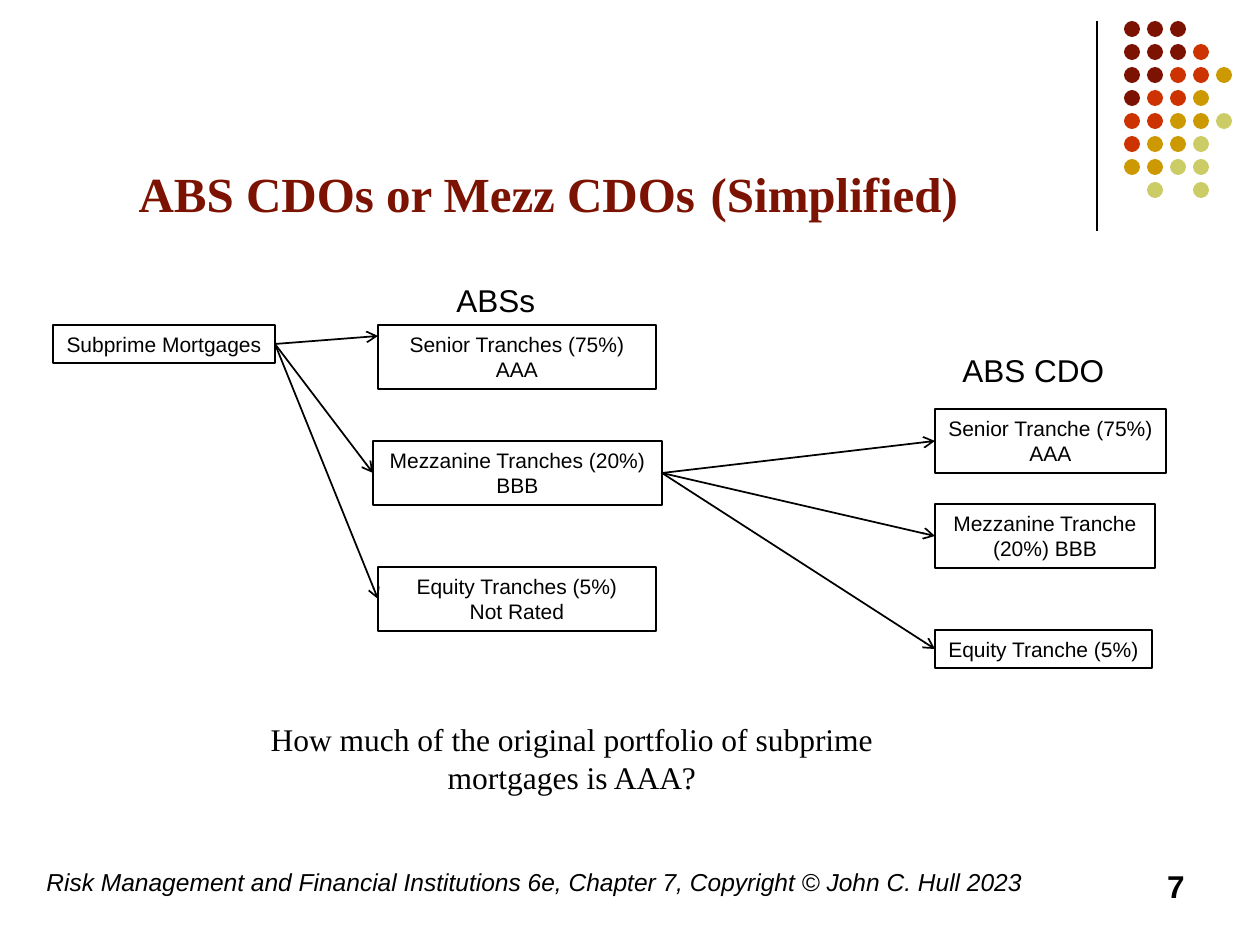
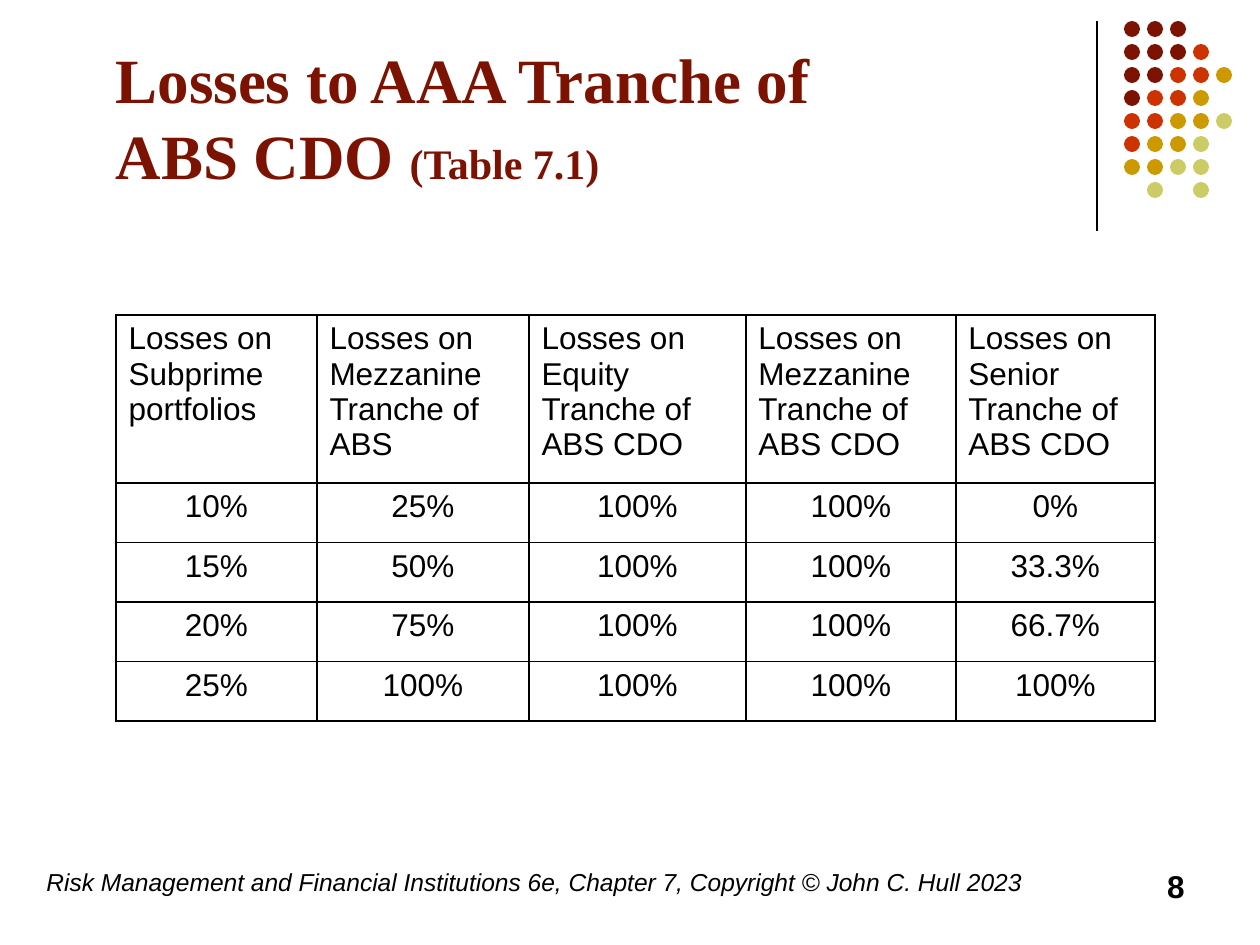
import pptx
import pptx.dml.color
import pptx.enum.shapes
import pptx.enum.text
import pptx.oxml.ns
import pptx.util
from lxml import etree

ALIGN = pptx.enum.text.PP_ALIGN
ANCHOR = pptx.enum.text.MSO_ANCHOR
SHAPE = pptx.enum.shapes.MSO_SHAPE
STRAIGHT = pptx.enum.shapes.MSO_CONNECTOR.STRAIGHT
qn = pptx.oxml.ns.qn

PIXELS_PER_INCH = 126
SANS, SERIF = "Arial", "Times New Roman"
COLORS = {
    "black": "000000",
    "white": "FFFFFF",
    "maroon": "7C1302",
    "red": "CC3300",
    "gold": "CC9900",
    "olive": "CCCC66",
}

DOT_COLORS = {"M": "maroon", "R": "red", "G": "gold", "O": "olive"}
DOT_ROWS = ["MMM", "MMMR", "MMRRG", "MRRG", "RRGGO", "RGGO", "GGOO", "-O-O"]
DOT_LEFT, DOT_TOP, DOT_PITCH, DOT_SIZE = 1124, 21, 23, 16
RULE = (1097, 21, 1097, 231)

FOOTER = "Risk Management and Financial Institutions 6e, Chapter 7, Copyright © John C. Hull 2023"
FOOTER_AREA = (34, 861, 1042, 63)
NUMBER_AREA = (903, 861, 294, 63)

CDO_TITLE = [("ABS CDOs or Mezz CDOs", 28), (" ", 36), ("(Simplified)", 28)]
CDO_TITLE_AREA = (126, 94, 977, 137)
BOXES = {
    "mortgages": ((53, 325, 222, 38), ["Subprime Mortgages"], False),
    "abs senior": ((378, 325, 278, 64), ["Senior Tranches (75%)", "AAA"], True),
    "abs mezzanine": ((373, 441, 289, 64), ["Mezzanine Tranches (20%)", "BBB"], False),
    "abs equity": ((378, 567, 278, 64), ["Equity Tranches (5%)", "Not Rated"], True),
    "cdo senior": ((935, 409, 231, 64), ["Senior Tranche (75%)", "AAA"], False),
    "cdo mezzanine": ((935, 504, 220, 64), ["Mezzanine Tranche (20%) BBB"], True),
    "cdo equity": ((935, 630, 217, 38), ["Equity Tranche (5%)"], False),
}
FLOWS = {
    "mortgages": ["abs senior", "abs mezzanine", "abs equity"],
    "abs mezzanine": ["cdo senior", "cdo mezzanine", "cdo equity"],
}
FREE_ENDS = {"abs senior": (378, 336)}
HEADINGS = [("ABSs", (444, 275, 106, 50)), ("ABS CDO", (950, 345, 176, 50))]
QUESTION = "How much of the original portfolio of subprime mortgages is AAA?"
QUESTION_AREA = (210, 714, 724, 90)

LOSS_TITLE = [("Losses to AAA Tranche of ABS CDO ", 36), ("(Table 7.1)", 24)]
LOSS_TITLE_AREA = (103, 69, 851, 129)
LOSS_ROWS = [
    [
        "Losses on Subprime portfolios",
        "Losses on Mezzanine Tranche of ABS",
        "Losses on Equity Tranche of ABS CDO",
        "Losses on Mezzanine Tranche of ABS CDO",
        "Losses on Senior Tranche of ABS CDO",
    ],
    ["10%", "25%", "100%", "100%", "0%"],
    ["15%", "50%", "100%", "100%", "33.3%"],
    ["20%", "75%", "100%", "100%", "66.7%"],
    ["25%", "100%", "100%", "100%", "100%"],
]
LOSS_COLUMNS = [201, 212, 217, 210, 199]
LOSS_LEFT, LOSS_TOP, LOSS_HEIGHT, LOSS_HEADER = 116, 315, 406, 168


def px(length):
    return pptx.util.Emu(round(length * 914400 / PIXELS_PER_INCH))


def scaled(area):
    return [px(length) for length in area]


def color(name):
    return pptx.dml.color.RGBColor.from_string(COLORS[name])


def add_run(paragraph, text, size, font=SANS, ink="black", bold=False, italic=False):
    run = paragraph.add_run()
    run.text = text
    run.font.size = pptx.util.Pt(size)
    run.font.name = font
    run.font.bold = bold
    run.font.italic = italic
    run.font.color.rgb = color(ink)


def add_text(shapes, area, text, size, align=ALIGN.LEFT, **style):
    frame = shapes.add_textbox(*scaled(area)).text_frame
    frame.word_wrap = True
    frame.paragraphs[0].alignment = align
    add_run(frame.paragraphs[0], text, size, **style)


def add_line(shapes, start, end, width):
    connector = shapes.add_connector(STRAIGHT, *scaled(start + end))
    connector.line.color.rgb = color("black")
    connector.line.width = pptx.util.Pt(width)
    etree.SubElement(connector.element.spPr, qn("a:effectLst"))
    return connector


def decorate_layout(layout, slide):
    rule = add_line(slide.shapes, RULE[:2], RULE[2:], 0.75)
    dots = slide.shapes.add_group_shape()
    for row, marks in enumerate(DOT_ROWS):
        for column, mark in enumerate(marks):
            if mark not in DOT_COLORS:
                continue
            left, top = DOT_LEFT + column * DOT_PITCH, DOT_TOP + row * DOT_PITCH
            dot = dots.shapes.add_shape(SHAPE.OVAL, *scaled((left, top, DOT_SIZE, DOT_SIZE)))
            dot.shadow.inherit = False
            dot.fill.solid()
            dot.fill.fore_color.rgb = color(DOT_COLORS[mark])
            dot.line.fill.background()
    tree = layout.shapes.element
    for position, shape in enumerate((rule, dots), start=2):
        tree.insert(position, shape.element)
    for number, properties in enumerate(tree.iter(qn("p:cNvPr")), start=1):
        properties.set("id", str(number))


def set_title(slide, runs, area, spacing=None):
    title = slide.shapes.title
    title.left, title.top, title.width, title.height = scaled(area)
    frame = title.text_frame
    frame.auto_size = pptx.enum.text.MSO_AUTO_SIZE.NONE
    frame.vertical_anchor = ANCHOR.BOTTOM
    paragraph = frame.paragraphs[0]
    paragraph.alignment = ALIGN.LEFT
    if spacing:
        paragraph.line_spacing = pptx.util.Pt(spacing)
    for text, size in runs:
        add_run(paragraph, text, size, SERIF, "maroon", bold=True)


def add_footer(slide, number):
    add_text(slide.shapes, NUMBER_AREA, str(number), 18, ALIGN.RIGHT, bold=True)
    add_text(slide.shapes, FOOTER_AREA, FOOTER, 14, italic=True)


def add_box(shapes, area, lines, wrap):
    box = shapes.add_shape(SHAPE.RECTANGLE, *scaled(area))
    box.shadow.inherit = False
    box.fill.solid()
    box.fill.fore_color.rgb = color("white")
    box.line.color.rgb = color("black")
    box.line.width = pptx.util.Pt(1)
    frame = box.text_frame
    frame.word_wrap = wrap
    frame.vertical_anchor = ANCHOR.TOP
    for index, line in enumerate(lines):
        paragraph = frame.add_paragraph() if index else frame.paragraphs[0]
        paragraph.alignment = ALIGN.CENTER
        add_run(paragraph, line, 12)
    return box


def add_arrow(shapes, source, target, free_end):
    arrow = add_line(shapes, (0, 0), free_end or (0, 0), 1)
    arrow.begin_connect(source, 3)
    if not free_end:
        arrow.end_connect(target, 1)
    outline = arrow.element.spPr.find(qn("a:ln"))
    etree.SubElement(outline, qn("a:tailEnd"), type="arrow")


def build_cdo_slide(slide):
    set_title(slide, CDO_TITLE, CDO_TITLE_AREA, spacing=33)
    shapes = slide.shapes
    boxes = {name: add_box(shapes, *box) for name, box in BOXES.items()}
    for source, targets in FLOWS.items():
        for target in targets:
            add_arrow(shapes, boxes[source], boxes[target], FREE_ENDS.get(target))
    add_text(shapes, QUESTION_AREA, QUESTION, 18, ALIGN.CENTER, font=SERIF)
    for heading, area in HEADINGS:
        add_text(shapes, area, heading, 18)


def add_borders(cell):
    properties = cell._tc.get_or_add_tcPr()
    for side in ("lnL", "lnR", "lnT", "lnB"):
        border = etree.SubElement(properties, qn(f"a:{side}"), w=str(pptx.util.Pt(1)))
        fill = etree.SubElement(border, qn("a:solidFill"))
        etree.SubElement(fill, qn("a:srgbClr"), val=COLORS["black"])


def build_loss_slide(slide):
    set_title(slide, LOSS_TITLE, LOSS_TITLE_AREA)
    area = (LOSS_LEFT, LOSS_TOP, sum(LOSS_COLUMNS), LOSS_HEIGHT)
    table = slide.shapes.add_table(len(LOSS_ROWS), len(LOSS_COLUMNS), *scaled(area)).table
    table.first_row = table.horz_banding = False
    for column, width in zip(table.columns, LOSS_COLUMNS):
        column.width = px(width)
    body_height = (LOSS_HEIGHT - LOSS_HEADER) / (len(LOSS_ROWS) - 1)
    for row_index, values in enumerate(LOSS_ROWS):
        table.rows[row_index].height = px(body_height if row_index else LOSS_HEADER)
        for column_index, value in enumerate(values):
            cell = table.cell(row_index, column_index)
            add_borders(cell)
            cell.fill.background()
            paragraph = cell.text_frame.paragraphs[0]
            paragraph.alignment = ALIGN.CENTER if row_index else ALIGN.LEFT
            add_run(paragraph, value, 18)


def main():
    presentation = pptx.Presentation()
    presentation.slide_width, presentation.slide_height = px(1260), px(945)
    layout = presentation.slide_layouts[5]
    for number, build in enumerate((build_cdo_slide, build_loss_slide), start=7):
        slide = presentation.slides.add_slide(layout)
        if number == 7:
            decorate_layout(layout, slide)
        build(slide)
        add_footer(slide, number)
    presentation.save("out.pptx")


if __name__ == "__main__":
    main()
